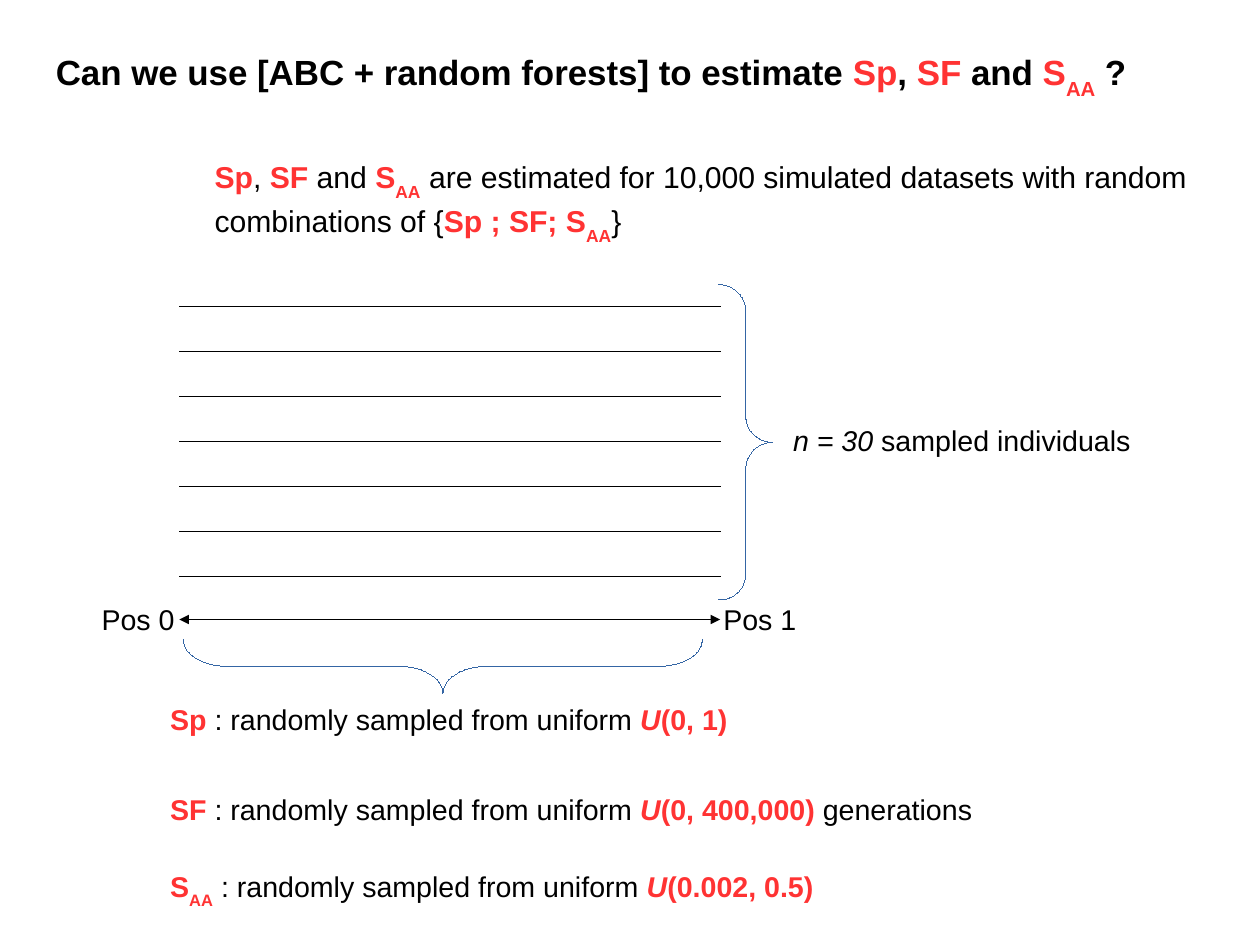
from dataclasses import dataclass

from lxml import etree
from pptx import Presentation
from pptx.dml.color import RGBColor
from pptx.enum import shapes, text
from pptx.oxml import ns
from pptx.shapes.connector import Connector
from pptx.shapes.autoshape import Shape
from pptx.slide import Slide
from pptx.util import Inches, Pt

BLACK = RGBColor(0x00, 0x00, 0x00)
RED = RGBColor(0xFF, 0x33, 0x33)
BLUE = RGBColor(0x34, 0x65, 0xA4)
FONT_NAME = "Arial"

CENTIMETRE = 1 / 2.54
SLIDE_WIDTH, SLIDE_HEIGHT = 28 * CENTIMETRE, 21 * CENTIMETRE
SEQUENCE_LEFT, SEQUENCE_RIGHT = 1.57, 6.3
SEQUENCE_TOP, SEQUENCE_STEP, SEQUENCE_COUNT = 2.68, CENTIMETRE, 7
POSITION_AXIS_Y = 5.42


@dataclass(frozen=True)
class Run:
    text: str
    color: RGBColor = BLACK
    bold: bool = False
    italic: bool = False
    subscript: bool = False


@dataclass(frozen=True)
class Label:
    left: float
    top: float
    width: float
    height: float
    size: float
    paragraphs: list[list[Run]]


@dataclass(frozen=True)
class Brace:
    left: float
    top: float
    width: float
    height: float
    curve: float
    rotation: float = 0


def red(content: str, italic: bool = False, subscript: bool = False) -> Run:
    return Run(content, RED, True, italic, subscript)


def title(content: str) -> Run:
    return Run(content, bold=True)


SP, SF = red("Sp"), red("SF")
SAA = [red("S"), red("AA", subscript=True)]


def prior(name: list[Run], limits: str) -> list[Run]:
    return [*name, Run(" : randomly sampled from uniform "), red("U", italic=True), red(limits)]


LABELS = [
    Label(0.39, 0.39, 9.6, 0.51, 22, [
        [title("Can we use [ABC + random forests] to estimate "), SP, title(", "), SF,
         title(" and "), *SAA, title(" ?")],
    ]),
    Label(1.78, 1.34, 8.76, 0.81, 19, [
        [SP, Run(", "), SF, Run(" and "), *SAA,
         Run(" are estimated for 10,000 simulated datasets with random")],
        [Run("combinations of {"), red("Sp ; SF; S"), SAA[1], Run("}")],
    ]),
    Label(6.84, 3.65, 3.17, 0.38, 18, [[Run("n = 30", italic=True), Run(" sampled individuals")]]),
    Label(0.79, 5.22, 0.84, 0.38, 18, [[Run("Pos 0")]]),
    Label(6.23, 5.22, 0.84, 0.38, 18, [[Run("Pos 1")]]),
    Label(1.39, 6.09, 5.12, 0.38, 18, [prior([SP], "(0, 1)")]),
    Label(1.39, 6.88, 7.26, 0.38, 18, [[*prior([SF], "(0, 400,000)"), Run(" generations")]]),
    Label(1.39, 7.55, 5.86, 0.44, 18, [prior(SAA, "(0.002, 0.5)")]),
]

BRACES = [
    Brace(6.29, 2.49, 0.47, 2.76, 0.49),
    Brace(3.64, 3.56, 0.47, 4.54, 0.81, 90),
]


def set_hairline(shape: Shape | Connector, color: RGBColor) -> None:
    shape.line.color.rgb = color
    shape.line._get_or_add_ln().set("w", "0")


def add_label(slide: Slide, label: Label) -> None:
    box = slide.shapes.add_textbox(
        Inches(label.left), Inches(label.top), Inches(label.width), Inches(label.height))
    frame = box.text_frame
    frame.word_wrap = False
    frame.auto_size = text.MSO_AUTO_SIZE.SHAPE_TO_FIT_TEXT
    for index, runs in enumerate(label.paragraphs):
        paragraph = frame.add_paragraph() if index else frame.paragraphs[0]
        paragraph.font.name = FONT_NAME
        paragraph.font.size = Pt(label.size)
        for item in runs:
            run = paragraph.add_run()
            run.text = item.text
            run.font.color.rgb = item.color
            run.font.bold = item.bold
            run.font.italic = item.italic
            if item.subscript:
                run._r.get_or_add_rPr().set("baseline", "-33000")


def add_brace(slide: Slide, brace: Brace) -> None:
    shape = slide.shapes.add_shape(
        shapes.MSO_SHAPE.RIGHT_BRACE,
        Inches(brace.left), Inches(brace.top), Inches(brace.width), Inches(brace.height))
    shape.adjustments[0] = brace.curve
    shape.rotation = brace.rotation
    shape.shadow.inherit = False
    shape.fill.background()
    set_hairline(shape, BLUE)


def add_horizontal_line(slide: Slide, y: float, arrows: bool = False) -> None:
    connector = slide.shapes.add_connector(
        shapes.MSO_CONNECTOR.STRAIGHT,
        Inches(SEQUENCE_LEFT), Inches(y), Inches(SEQUENCE_RIGHT), Inches(y))
    set_hairline(connector, BLACK)
    if arrows:
        line = connector.line._get_or_add_ln()
        for end in ("a:headEnd", "a:tailEnd"):
            etree.SubElement(line, ns.qn(end), type="triangle")
    etree.SubElement(connector._element.spPr, ns.qn("a:effectLst"))


def main() -> None:
    presentation = Presentation()
    presentation.slide_width = Inches(SLIDE_WIDTH)
    presentation.slide_height = Inches(SLIDE_HEIGHT)
    slide = presentation.slides.add_slide(presentation.slide_layouts[6])
    for index in range(SEQUENCE_COUNT):
        add_horizontal_line(slide, SEQUENCE_TOP + index * SEQUENCE_STEP)
    add_horizontal_line(slide, POSITION_AXIS_Y, arrows=True)
    for brace in BRACES:
        add_brace(slide, brace)
    for label in LABELS:
        add_label(slide, label)
    presentation.save("out.pptx")


if __name__ == "__main__":
    main()
